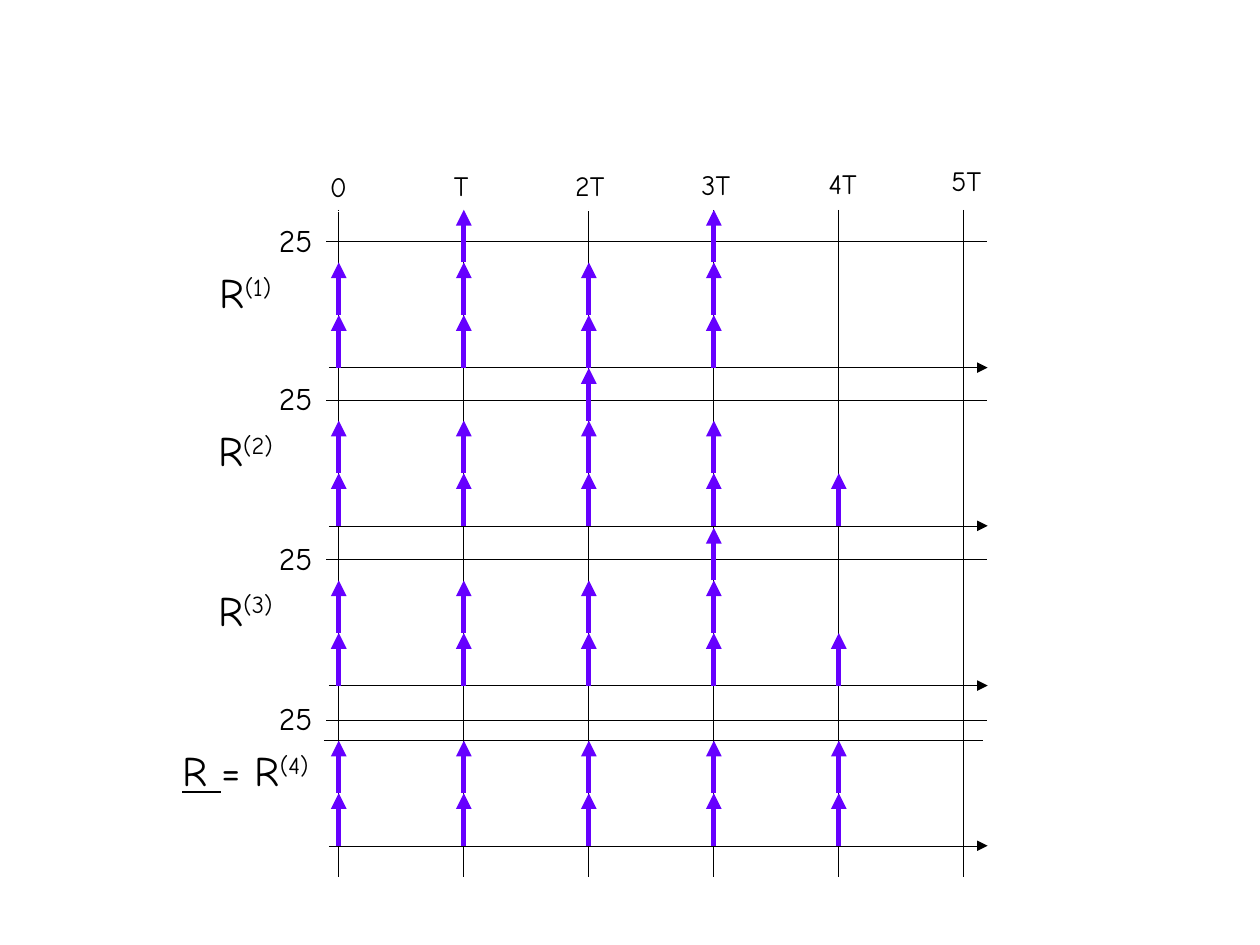
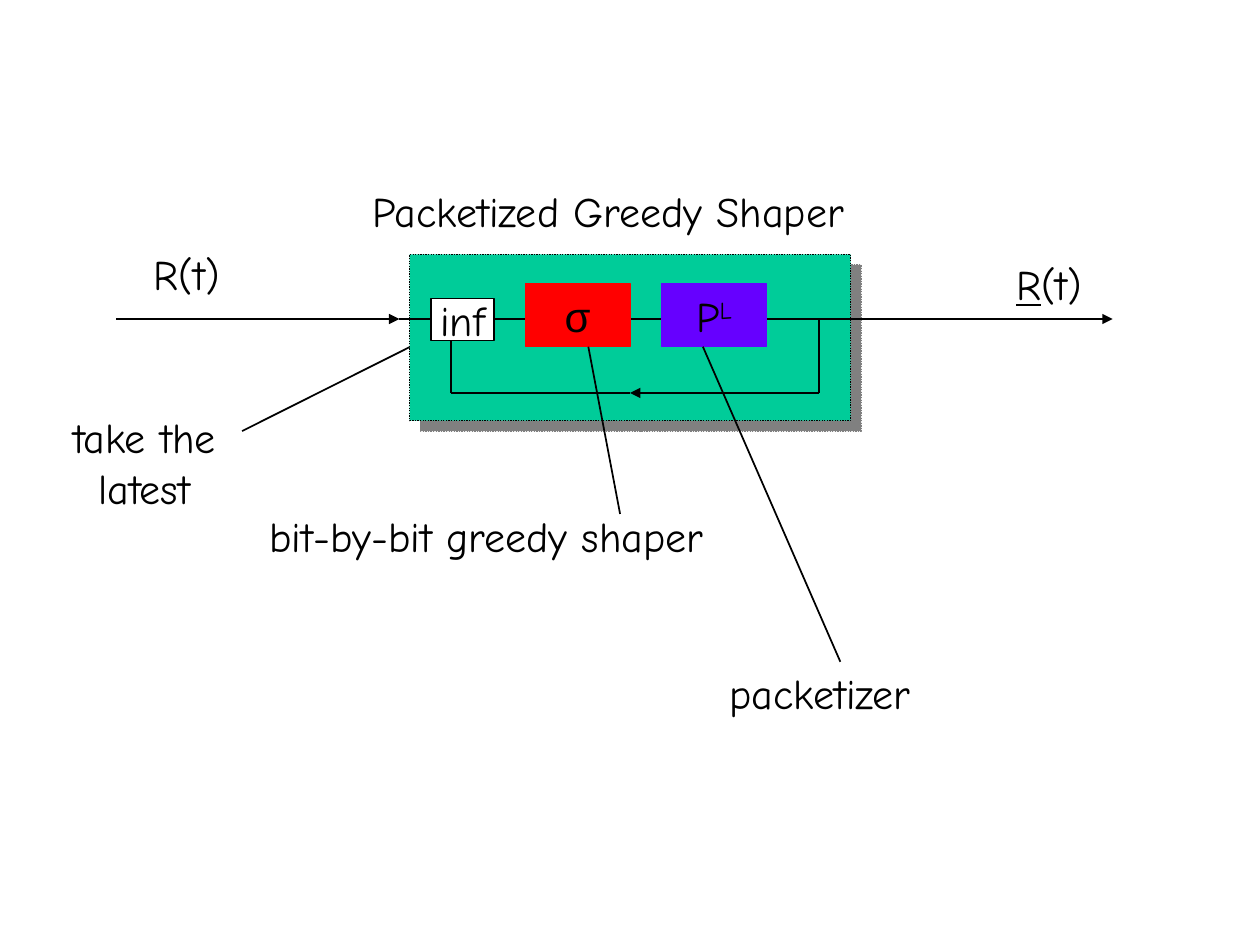
"""Build two slides on the packetized greedy shaper."""
from dataclasses import dataclass
from typing import NamedTuple, Optional

from lxml import etree
from pptx import Presentation
from pptx import util as u
from pptx.dml.color import RGBColor
from pptx.enum import dml, shapes, text
from pptx.oxml.ns import qn
from pptx.shapes.autoshape import Shape
from pptx.shapes.shapetree import GroupShapes

BLACK = RGBColor(0x00, 0x00, 0x00)
WHITE = RGBColor(0xFF, 0xFF, 0xFF)
VIOLET = RGBColor(0x66, 0x00, 0xFF)
RED = RGBColor(0xFF, 0x00, 0x00)
GREEN = RGBColor(0x00, 0xCC, 0x99)
BODY_FONT = "Comic Neue"
GREEK_FONT = "Arial"

FIRST_COLUMN, COLUMN_STEP, COLUMN_COUNT = 6.81, 2.52, 6
GRID_HEIGHT, AXIS_DROP, LIMIT_DROP, PACKET_HEIGHT = 3.81, 3.18, 0.64, 1.06


class Box(NamedTuple):
    """Left, top, width and height in centimetres."""
    left: float
    top: float
    width: float
    height: float


class Span(NamedTuple):
    """A stretch of text with its own emphasis."""
    text: str
    underline: bool = False
    raised: bool = False


class Line(NamedTuple):
    """A straight line, in centimetres and points."""
    x1: float
    y1: float
    x2: float
    y2: float
    weight: float = 0.75
    arrow: bool = False


class Tick(NamedTuple):
    """A time label above a grid column."""
    text: str
    center: float
    top: float
    width: float


@dataclass(frozen=True)
class Iteration:
    """One row of the chart with its packets per time step."""
    top: float
    name: tuple[Span, ...]
    name_width: float
    packets: tuple[int, ...]


@dataclass(frozen=True)
class Block:
    """A rectangle of the shaper diagram."""
    box: Box
    spans: tuple[Span, ...]
    fill: RGBColor
    outline: RGBColor
    font: str = BODY_FONT


TICKS = (
    Tick("0", 6.82, 3.3, 0.89),
    Tick("T", 9.3, 3.28, 0.91),
    Tick("2T", 11.89, 3.28, 1.27),
    Tick("3T", 14.43, 3.25, 1.27),
    Tick("4T", 16.99, 3.23, 1.27),
    Tick("5T", 19.48, 3.18, 1.27),
)

ITERATIONS = (
    Iteration(4.23, (Span("R"), Span("(1)", raised=True)), 1.75, (2, 3, 2, 3)),
    Iteration(7.42, (Span("R"), Span("(2)", raised=True)), 1.83, (2, 2, 3, 2, 1)),
    Iteration(10.64, (Span("R"), Span("(3)", raised=True)), 1.83, (2, 2, 2, 3, 1)),
    Iteration(13.87, (Span("R ", underline=True), Span("= R"), Span("(4)", raised=True)),
              3.3, (2, 2, 2, 2, 2)),
)

CAPTIONS = (
    (Box(2.74, 4.88, 2.06, 1.27), (Span("R(t)"),)),
    (Box(20.12, 5.08, 2.06, 1.27), (Span("R", underline=True), Span("(t)"))),
    (Box(6.78, 3.61, 10.97, 1.27), (Span("Packetized Greedy Shaper"),)),
    (Box(4.65, 10.16, 10.31, 1.27), (Span("bit-by-bit greedy shaper"),)),
    (Box(14.17, 13.34, 4.72, 1.27), (Span("packetizer"),)),
)

SHAPER = Box(8.26, 5.13, 8.89, 3.35)
INPUT_FLOW = Line(2.34, 6.43, 8.05, 6.43, arrow=True)
LATEST_POINTER = Line(8.69, 6.78, 4.88, 8.69, weight=1)
FLOWS = (
    Line(8.05, 6.43, 22.43, 6.43, arrow=True),
    Line(16.51, 6.43, 16.51, 7.92),
    Line(16.51, 7.92, 12.7, 7.92, arrow=True),
    Line(12.7, 7.92, 9.09, 7.92),
    Line(9.09, 7.92, 9.09, 6.43, arrow=True),
)
POINTERS = (
    Line(14.17, 6.99, 16.94, 13.34, weight=1),
    Line(11.86, 6.99, 12.5, 10.36, weight=1),
)
BLOCKS = (
    Block(Box(8.69, 6.02, 1.27, 0.84), (Span("inf"),), WHITE, BLACK),
    Block(Box(10.59, 5.72, 2.11, 1.27), (Span("σ"),), RED, RED, GREEK_FONT),
    Block(Box(13.34, 5.72, 2.11, 1.27), (Span("P"), Span("L", raised=True)), VIOLET, VIOLET),
)


def write_text(shape: Shape, spans: tuple[Span, ...], *, size: float = 24,
               font: str = BODY_FONT, wrap: bool = False, fit: bool = True) -> None:
    """Write centred spans into a shape; fitted text starts at the top."""
    frame = shape.text_frame
    frame.word_wrap = wrap
    frame.auto_size = (text.MSO_AUTO_SIZE.SHAPE_TO_FIT_TEXT if fit
                       else text.MSO_AUTO_SIZE.NONE)
    frame.vertical_anchor = text.MSO_ANCHOR.TOP if fit else text.MSO_ANCHOR.MIDDLE
    para = frame.paragraphs[0]
    para.alignment = text.PP_ALIGN.CENTER
    for span in spans:
        run = para.add_run()
        run.text = span.text
        run.font.size = u.Pt(size)
        run.font.name = font
        run.font.color.rgb = BLACK
        if span.underline:
            run.font.underline = True
        if span.raised:
            run._r.get_or_add_rPr().set("baseline", "30000")


def add_rectangle(canvas: GroupShapes, box: Box, *, fill: Optional[RGBColor] = None,
                  outline: Optional[RGBColor] = None) -> Shape:
    """Add a flat rectangle."""
    shape = canvas.add_shape(shapes.MSO_SHAPE.RECTANGLE, *map(u.Cm, box))
    shape.shadow.inherit = False
    if fill is None:
        shape.fill.background()
    else:
        shape.fill.solid()
        shape.fill.fore_color.rgb = fill
    if outline is None:
        shape.line.fill.background()
    else:
        shape.line.color.rgb = outline
        shape.line.width = u.Pt(0.75)
    return shape


def add_caption(canvas: GroupShapes, box: Box, spans: tuple[Span, ...], *,
                size: float = 24, wrap: bool = False) -> None:
    """Add a plain text box."""
    write_text(canvas.add_textbox(*map(u.Cm, box)), spans, size=size, wrap=wrap)


def add_line(canvas: GroupShapes, line: Line, *, color: RGBColor = BLACK,
             dotted: bool = False) -> None:
    """Add a straight connector without shadow."""
    connector = canvas.add_connector(shapes.MSO_CONNECTOR.STRAIGHT, *map(u.Cm, line[:4]))
    connector.line.color.rgb = color
    connector.line.width = u.Pt(line.weight)
    if dotted:
        connector.line.dash_style = dml.MSO_LINE.ROUND_DOT
    properties = connector._element.spPr
    if line.arrow:
        etree.SubElement(properties.find(qn("a:ln")), qn("a:tailEnd"), type="triangle")
    etree.SubElement(properties, qn("a:effectLst"))


def add_shadow(shape: Shape) -> None:
    """Cast a hard grey shadow to the lower right."""
    effects = shape._element.spPr.find(qn("a:effectLst"))
    shadow = etree.SubElement(effects, qn("a:outerShdw"), dist=str(u.Pt(8.5)),
                              dir="2700000", algn="ctr", rotWithShape="0")
    etree.SubElement(shadow, qn("a:srgbClr"), val="808080")


def draw_iteration(canvas: GroupShapes, row: Iteration) -> None:
    """Draw the grid, packets and labels of one iteration."""
    columns = [FIRST_COLUMN + COLUMN_STEP * index for index in range(COLUMN_COUNT)]
    axis = row.top + AXIS_DROP
    limit = row.top + LIMIT_DROP
    for x in columns:
        add_line(canvas, Line(x, row.top, x, row.top + GRID_HEIGHT, 0.25))
    add_line(canvas, Line(6.63, axis, 19.91, axis, 0.25, arrow=True))
    if row is ITERATIONS[0]:
        for tick in TICKS:
            box = Box(tick.center - tick.width / 2, tick.top, tick.width, 0.97)
            write_text(add_rectangle(canvas, box, outline=WHITE), (Span(tick.text),), size=16)
    add_line(canvas, Line(6.58, limit, 19.89, limit, 0.25), dotted=True)
    for x in (columns[1], columns[3]):
        add_line(canvas, Line(x, row.top + 1.48, x, row.top + 1.9))
    for x, count in zip(columns, row.packets):
        for level in range(count):
            foot = axis - level * PACKET_HEIGHT
            add_line(canvas, Line(x + 0.02, foot, x + 0.02, foot - PACKET_HEIGHT, 3, True),
                     color=VIOLET)
    name_box = Box(4.95 - row.name_width / 2, row.top + 1.02, row.name_width, 1.3)
    write_text(add_rectangle(canvas, name_box, outline=WHITE), row.name)
    add_caption(canvas, Box(5.31, row.top + 0.1, 1.3, 1.02), (Span("25"),), size=18)
    if row is ITERATIONS[-1]:
        level = row.top + PACKET_HEIGHT
        add_line(canvas, Line(6.53, level, 19.81, level, 0.25), dotted=True)


def draw_shaper(canvas: GroupShapes) -> None:
    """Draw the shaper with its feedback loop and captions."""
    add_line(canvas, INPUT_FLOW)
    for box, spans in CAPTIONS:
        add_caption(canvas, box, spans)
    add_line(canvas, LATEST_POINTER)
    add_caption(canvas, Box(0.51, 8.18, 4.8, 2.29), (Span("take the latest"),), wrap=True)
    shaper = add_rectangle(canvas, SHAPER, fill=GREEN, outline=BLACK)
    shaper.line.dash_style = dml.MSO_LINE.ROUND_DOT
    add_shadow(shaper)
    for flow in FLOWS:
        add_line(canvas, flow)
    for block in BLOCKS:
        shape = add_rectangle(canvas, block.box, fill=block.fill, outline=block.outline)
        write_text(shape, block.spans, font=block.font, fit=False)
    for pointer in POINTERS:
        add_line(canvas, pointer)


def main() -> None:
    """Build and save the deck."""
    deck = Presentation()
    deck.slide_width, deck.slide_height = u.Cm(25.4), u.Cm(19.05)
    blank = deck.slide_layouts[6]
    page = deck.slides.add_slide(blank)
    for row in ITERATIONS:
        draw_iteration(page.shapes.add_group_shape().shapes, row)
    page = deck.slides.add_slide(blank)
    draw_shaper(page.shapes.add_group_shape().shapes)
    deck.save("out.pptx")


if __name__ == "__main__":
    main()
